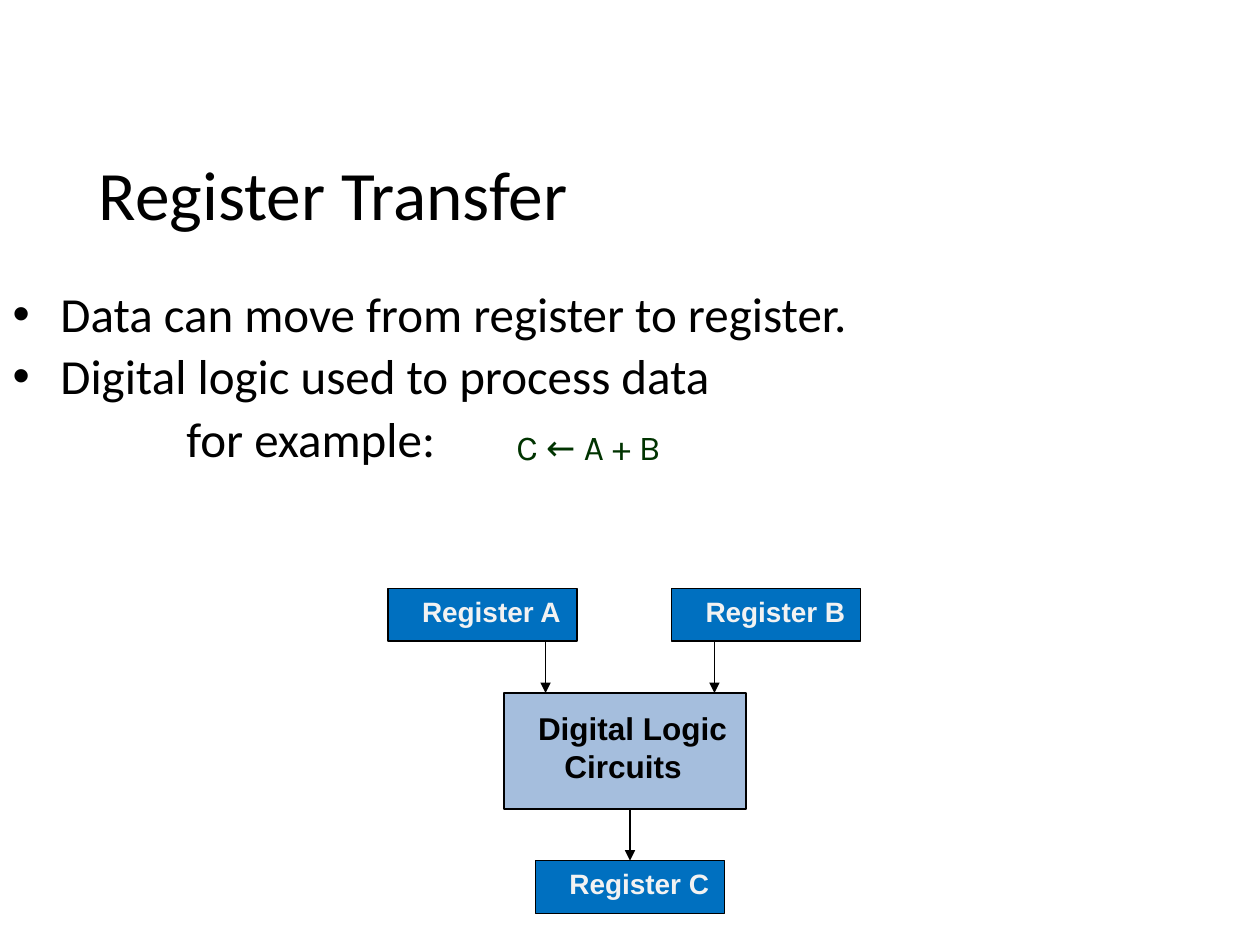
from pptx import Presentation
from pptx.dml.color import RGBColor
from pptx.enum.shapes import MSO_CONNECTOR, MSO_SHAPE
from pptx.enum.text import MSO_ANCHOR, MSO_AUTO_SIZE, PP_ALIGN
from pptx.oxml.ns import qn
from pptx.util import Inches, Pt
from lxml import etree

RECT = MSO_SHAPE.RECTANGLE
STRAIGHT = MSO_CONNECTOR.STRAIGHT
TOP, MIDDLE = MSO_ANCHOR.TOP, MSO_ANCHOR.MIDDLE
LEFT, CENTER = PP_ALIGN.LEFT, PP_ALIGN.CENTER
NO_FIT = MSO_AUTO_SIZE.NONE


def rgb(value):
    return RGBColor.from_string(value)


def put_text(sp, text, size, font, color="000000", bold=False, align=LEFT,
             anchor=TOP, wrap=True, inset=(0.1, 0.05)):
    tf = sp.text_frame
    tf.text = text
    tf.auto_size = NO_FIT
    tf.word_wrap = wrap
    tf.vertical_anchor = anchor
    tf.margin_left, tf.margin_top = Inches(inset[0]), Inches(inset[1])
    for p in tf.paragraphs:
        p.alignment = align
        for r in p.runs:
            r.font.size, r.font.name, r.font.bold = Pt(size), font, bold
            r.font.color.rgb = rgb(color)
    return tf


prs = Presentation()
prs.slide_width, prs.slide_height = Inches(10), Inches(7.5)
s = prs.slides.add_slide(prs.slide_layouts[1])
title, body = s.placeholders

# Title
title.left, title.top = Inches(0), Inches(1.33)
title.width, title.height = Inches(5.29), Inches(0.4)
put_text(title, "Register Transfer", 39.6, "Calibri", align=CENTER, anchor=MIDDLE)

# Bullet list, with an unbulleted last line
body.left, body.top = Inches(0), Inches(2.25)
body.width, body.height = Inches(8.5), Inches(1.67)
tf = put_text(body, "Data can move from register to register.\n"
              "Digital logic used to process data\nfor example:", 28, "Calibri")
for p, margin, indent in zip(tf.paragraphs, (0.38, 0.38, 1.38), (-0.38, -0.38, 0)):
    p.line_spacing = 0.9
    pPr = p._p.get_or_add_pPr()
    pPr.set("marL", str(Inches(margin)))
    pPr.set("indent", str(Inches(indent)))
tf.paragraphs[0].space_before = Pt(0)
etree.SubElement(tf.paragraphs[2]._p.pPr, qn("a:buNone"))

# Formula
formula = s.shapes.add_textbox(Inches(4), Inches(3.33), Inches(2.58), Inches(0.43))
put_text(formula, "C ← A + B", 20, "Karla", color="003300")

# Registers and logic block: text, left, top, width, height, fill, size, colour, inset
blocks = [("Digital Logic\nCircuits", 4, 5.5, 1.92, 0.92, "4F81BD", 18, "000000", (0.27, 0.13))]
for name, left, top in (("A", 3.08, 4.67), ("B", 5.33, 4.67), ("C", 4.25, 6.83)):
    blocks.append(("Register " + name, left, top, 1.5, 0.42, "0070C0", 16, "F2F2F2", (0.27, 0.05)))
shapes = []
for text, left, top, width, height, fill, size, color, inset in blocks:
    sp = s.shapes.add_shape(RECT, Inches(left), Inches(top), Inches(width), Inches(height))
    sp.shadow.inherit = False
    sp.fill.solid()
    sp.fill.fore_color.rgb = rgb(fill)
    sp.line.color.rgb = rgb("000000")
    sp.line.width = Pt(1)
    put_text(sp, text, size, "Arial", color, bold=True, wrap=False, inset=inset)
    shapes.append(sp)
logic, register_c = shapes[0], shapes[-1]

# Half-transparent logic block with its second line indented
fill_color = logic._element.spPr.find(qn("a:solidFill"))[0]
etree.SubElement(fill_color, qn("a:alpha"), val="51000")
logic.text_frame.paragraphs[1]._p.get_or_add_pPr().set("marL", str(Inches(0.21)))

# Data flow arrows
for x, y1, y2 in ((4.33, 5.09, 5.5), (5.67, 5.09, 5.5), (5, 6.42, 6.83)):
    arrow = s.shapes.add_connector(STRAIGHT, Inches(x), Inches(y1), Inches(x), Inches(y2))
    arrow.line.color.rgb = rgb("000000")
    arrow.line.width = Pt(1)
    etree.SubElement(arrow.line._get_or_add_ln(), qn("a:tailEnd"), type="triangle")
    etree.SubElement(arrow._element.spPr, qn("a:effectLst"))
arrow.end_connect(register_c, 0)

prs.save("out.pptx")
